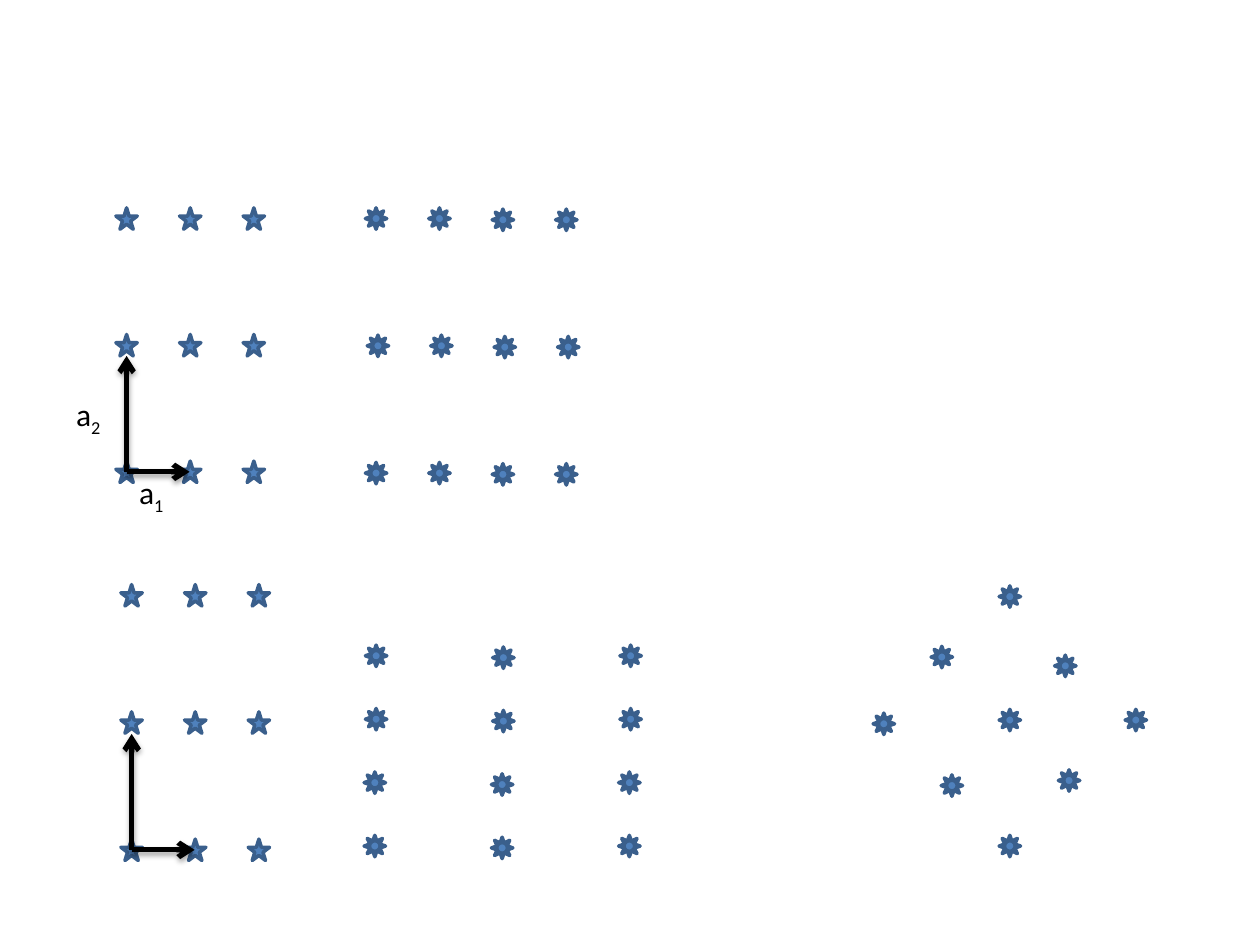
from dataclasses import dataclass

from lxml import etree
from pptx import Presentation
from pptx.dml.color import RGBColor
from pptx.enum.shapes import MSO_CONNECTOR, MSO_SHAPE
from pptx.enum.text import MSO_AUTO_SIZE
from pptx.oxml import parse_xml
from pptx.oxml.ns import nsdecls, qn
from pptx.util import Inches, Pt

STAR, SUN = MSO_SHAPE.STAR_5_POINT, MSO_SHAPE.SUN
STRAIGHT = MSO_CONNECTOR.STRAIGHT
GROW = MSO_AUTO_SIZE.SHAPE_TO_FIT_TEXT


@dataclass(frozen=True)
class Theme:
    fill: RGBColor = RGBColor(0x4F, 0x81, 0xBD)
    outline: RGBColor = RGBColor(0x3A, 0x5F, 0x8C)
    ink: RGBColor = RGBColor(0, 0, 0)
    font: str = "Calibri"
    label_size: Pt = Pt(18)
    outline_width: Pt = Pt(2)
    arrow_width: Pt = Pt(3)
    mark: float = 0.17


@dataclass(frozen=True)
class Box:
    left: float
    top: float
    width: float
    height: float


THEME = Theme()
SHADOW = (
    f'<a:effectLst {nsdecls("a")}><a:outerShdw blurRad="39370" dist="22860" '
    'dir="5400000" rotWithShape="0"><a:srgbClr val="000000">'
    '<a:alpha val="35000"/></a:srgbClr></a:outerShdw></a:effectLst>'
)


def add_mark(shapes, kind, x, y, rotation=0):
    size = Inches(THEME.mark)
    sp = shapes.add_shape(kind, Inches(x), Inches(y), size, size)
    sp.rotation = rotation
    sp.shadow.inherit = False
    sp.fill.solid()
    sp.fill.fore_color.rgb = THEME.fill
    sp.line.color.rgb = THEME.outline
    sp.line.width = THEME.outline_width


def add_grid(shapes, kind, box, row_shifts, col_shifts, rotation=0):
    dx = (box.width - THEME.mark) / (len(col_shifts) - 1)
    dy = (box.height - THEME.mark) / (len(row_shifts) - 1)
    for row, shift_x in enumerate(row_shifts):
        for col, shift_y in enumerate(col_shifts):
            x = box.left + col * dx + shift_x
            y = box.top + row * dy + shift_y
            add_mark(shapes, kind, x, y, rotation)


def add_arrow(shapes, x1, y1, x2, y2):
    cn = shapes.add_connector(STRAIGHT, Inches(x1), Inches(y1), Inches(x2), Inches(y2))
    cn.line.color.rgb = THEME.ink
    cn.line.width = THEME.arrow_width
    etree.SubElement(cn.line._get_or_add_ln(), qn("a:tailEnd"), type="arrow")
    cn._element.spPr.append(parse_xml(SHADOW))


def add_label(shapes, x, y, letter, index):
    tb = shapes.add_textbox(Inches(x), Inches(y), Inches(0.41), Inches(0.4))
    tf = tb.text_frame
    tf.word_wrap = False
    tf.auto_size = GROW
    p = tf.paragraphs[0]
    for text in (letter, index):
        r = p.add_run()
        r.text = text
        r.font.name = THEME.font
        r.font.size = THEME.label_size
        r.font.color.rgb = THEME.ink
    r.font._element.set("baseline", "-25000")


def add_lattice(shapes, box, labelled=False):
    add_grid(shapes, STAR, box, (0, 0, 0), (0, 0, 0))
    x = box.left + THEME.mark / 2
    y = box.top + box.height - THEME.mark / 2
    add_arrow(shapes, x, y, x + 0.5, y)
    add_arrow(shapes, x, y, x, y - 0.92)
    if labelled:
        add_label(shapes, x, y - 0.04, "a", "1")
        add_label(shapes, x - 0.5, y - 0.66, "a", "2")


def add_wide_suns(shapes, box):
    add_grid(shapes, SUN, box, (0, 0.015, 0), (0, 0, 0.01, 0.01))


def add_tall_suns(shapes, box):
    group = shapes.add_group_shape()
    add_grid(group.shapes, SUN, box, (0, 0, -0.01, -0.01), (0, 0.015, 0), rotation=90)


def add_diamond(shapes, box):
    offsets = [
        (0, 1.01), (0.46, 0.48), (0.54, 1.5), (1, 0.98), (1, 1.98),
        (1.47, 1.46), (1, 0), (2, 0.98), (1.44, 0.55),
    ]
    for x, y in offsets:
        add_mark(shapes, SUN, box.left + x, box.top + y)


def main():
    prs = Presentation()
    prs.slide_width, prs.slide_height = Inches(10), Inches(7.5)
    s = prs.slides.add_slide(prs.slide_layouts[6])
    add_lattice(s.shapes, Box(0.92, 1.65, 1.18, 2.18), labelled=True)
    add_lattice(s.shapes, Box(0.96, 4.64, 1.18, 2.19))
    add_wide_suns(s.shapes, Box(2.9, 1.65, 1.68, 2.19))
    add_tall_suns(s.shapes, Box(2.9, 5.12, 2.19, 1.68))
    add_diamond(s.shapes, Box(6.93, 4.65, 2.17, 2.15))
    prs.save("out.pptx")


if __name__ == "__main__":
    main()
